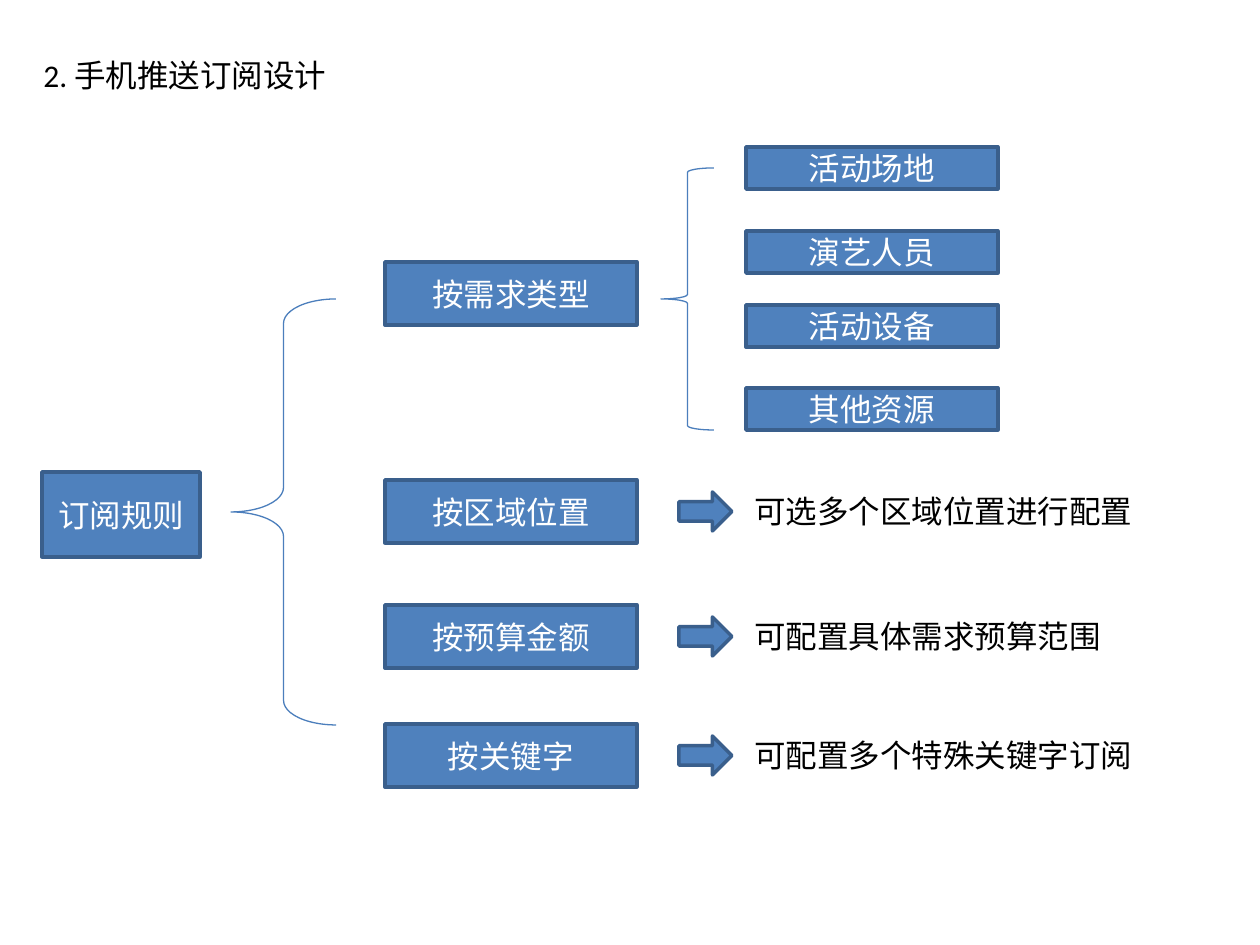
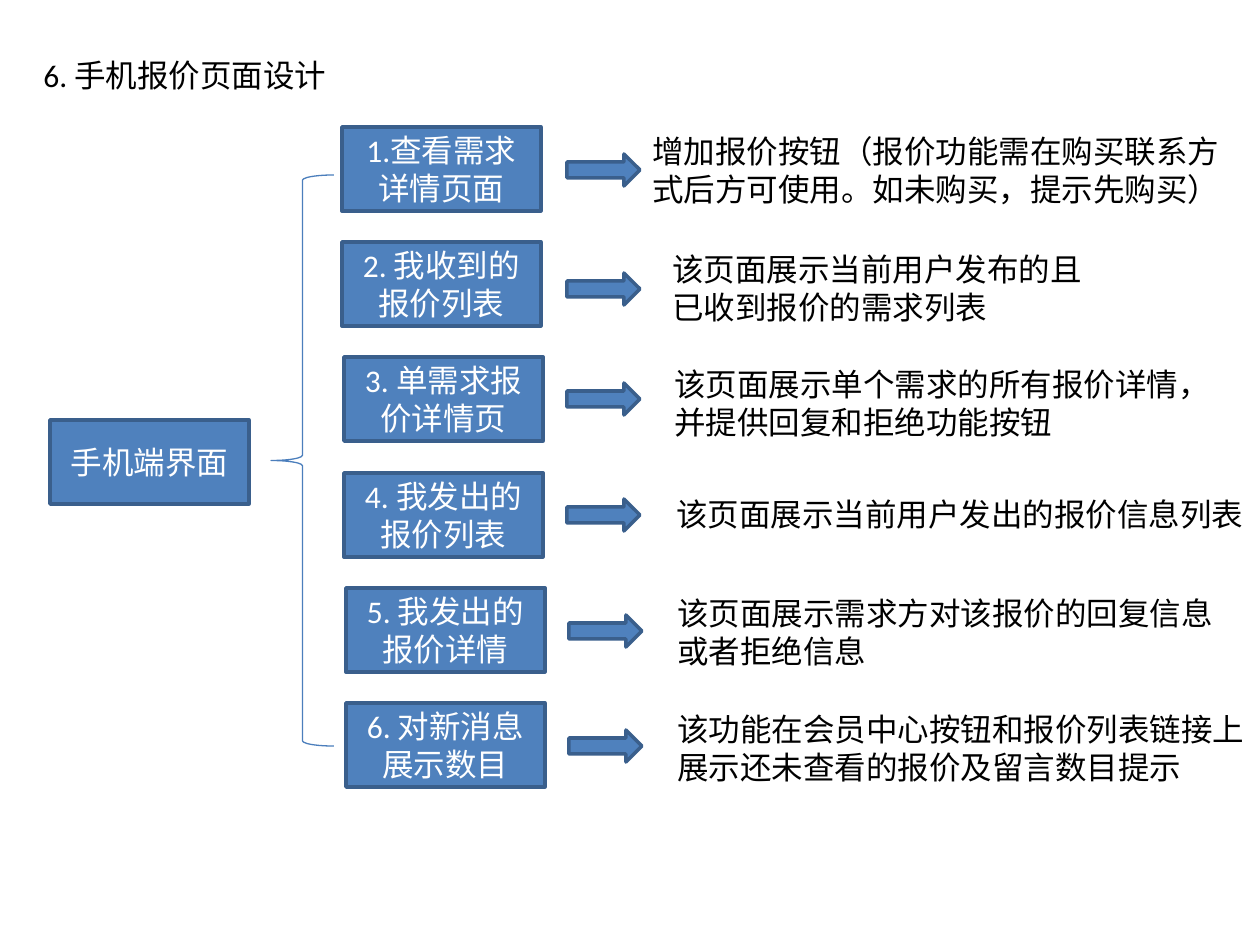
from pptx import Presentation
from pptx.dml.color import RGBColor
from pptx.enum.shapes import MSO_SHAPE
from pptx.enum.text import MSO_ANCHOR, MSO_AUTO_SIZE, PP_ALIGN
from pptx.util import Pt

# Shared scale, colours and formats
SCALE = 914400 / 126
FILL, EDGE, BRACE = "4F81BD", "3A5F8C", "4B7EBC"
WHITE, BLACK = "FFFFFF", "000000"
FONT = {"name": "Calibri", "size": Pt(18)}
BOX = {"word_wrap": True, "vertical_anchor": MSO_ANCHOR.MIDDLE}
TITLE = {"word_wrap": True}
NOTE = {"word_wrap": False, "auto_size": MSO_AUTO_SIZE.SHAPE_TO_FIT_TEXT}


def emu(*sizes):
    return [round(size * SCALE) for size in sizes]


def paint(part, code):
    part.rgb = RGBColor.from_string(code)


def style(part, values):
    for name, value in values.items():
        setattr(part, name, value)


# Kinds of element
def write(frame, lines, look, code, align):
    style(frame, look)
    for i, line in enumerate(lines):
        para = frame.add_paragraph() if i else frame.paragraphs[0]
        para.alignment = align
        run = para.add_run()
        run.text = line
        style(run.font, FONT)
        paint(run.font.color, code)


def add_solid(slide, kind, x, y, w, h):
    shape = slide.shapes.add_shape(kind, *emu(x, y, w, h))
    shape.shadow.inherit = False
    shape.fill.solid()
    paint(shape.fill.fore_color, FILL)
    paint(shape.line.color, EDGE)
    shape.line.width = Pt(2)
    return shape


def add_box(slide, text, x, y, w, h):
    box = add_solid(slide, MSO_SHAPE.RECTANGLE, x, y, w, h)
    write(box.text_frame, [text], BOX, WHITE, PP_ALIGN.CENTER)


def add_arrow(slide, x, y, w, h):
    add_solid(slide, MSO_SHAPE.RIGHT_ARROW, x, y, w, h)


def add_brace(slide, x, y, w, h, curve=0.0833):
    brace = slide.shapes.add_shape(MSO_SHAPE.LEFT_BRACE, *emu(x, y, w, h))
    brace.shadow.inherit = False
    brace.adjustments[0] = curve
    brace.fill.background()
    paint(brace.line.color, BRACE)
    brace.line.width = Pt(0.75)


def add_text(slide, lines, x, y, w, look=NOTE):
    h = 50 if len(lines) == 1 else 90
    area = slide.shapes.add_textbox(*emu(x, y, w, h))
    write(area.text_frame, lines, look, BLACK, PP_ALIGN.LEFT)


def add_page(deck, title):
    slide = deck.slides.add_slide(deck.slide_layouts[6])
    add_text(slide, [title], 31, 50, 311, TITLE)
    return slide


# Subscription rules
def add_rules(deck):
    slide = add_page(deck, "2. 手机推送订阅设计")
    add_box(slide, "订阅规则", 42, 472, 158, 85)
    add_brace(slide, 231, 299, 105, 426, 0.233)

    rules = [
        ("按需求类型", 262, None, 0),
        ("按区域位置", 480, "可选多个区域位置进行配置", 407),
        ("按预算金额", 605, "可配置具体需求预算范围", 375),
        ("按关键字", 724, "可配置多个特殊关键字订阅", 407),
    ]
    for name, y, note, width in rules:
        add_box(slide, name, 385, y, 252, 63)
        if note:
            add_arrow(slide, 679, y + 12, 53, 39)
            add_text(slide, [note], 742, y + 6, width)

    add_brace(slide, 661, 168, 53, 262)
    types = [("活动场地", 147), ("演艺人员", 231), ("活动设备", 305), ("其他资源", 388)]
    for name, y in types:
        add_box(slide, name, 746, y, 252, 42)


# Quotation pages
def add_quotes(deck):
    slide = add_page(deck, "6. 手机报价页面设计")
    add_box(slide, "手机端界面", 50, 420, 199, 84)
    add_brace(slide, 271, 175, 63, 571)

    # name, arrow left and top, note left, top and width, note lines
    steps = [
        ("1.查看需求详情页面", 567, 154, 640, 126, 599,
         ["增加报价按钮（报价功能需在购买联系方", "式后方可使用。如未购买，提示先购买）"]),
        ("2. 我收到的报价列表", 567, 273, 660, 244, 438,
         ["该页面展示当前用户发布的且", "已收到报价的需求列表"]),
        ("3. 单需求报价详情页", 567, 383, 662, 359, 566,
         ["该页面展示单个需求的所有报价详情，", "并提供回复和拒绝功能按钮"]),
        ("4. 我发出的报价列表", 567, 499, 664, 489, 599,
         ["该页面展示当前用户发出的报价信息列表"]),
        ("5. 我发出的报价详情", 569, 615, 665, 588, 566,
         ["该页面展示需求方对该报价的回复信息", "或者拒绝信息"]),
        ("6. 对新消息展示数目", 569, 730, 665, 704, 599,
         ["该功能在会员中心按钮和报价列表链接上", "展示还未查看的报价及留言数目提示"]),
    ]
    for i, (name, tip, mid, x, y, width, lines) in enumerate(steps):
        add_box(slide, name, 342 + i // 2 * 2, round(127 + 115.2 * i), 199, 84)
        add_arrow(slide, tip, mid, 73, 32)
        add_text(slide, lines, x, y, width)


def main():
    deck = Presentation()
    deck.slide_width, deck.slide_height = emu(1260, 945)
    add_rules(deck)
    add_quotes(deck)
    deck.save("out.pptx")


main()
